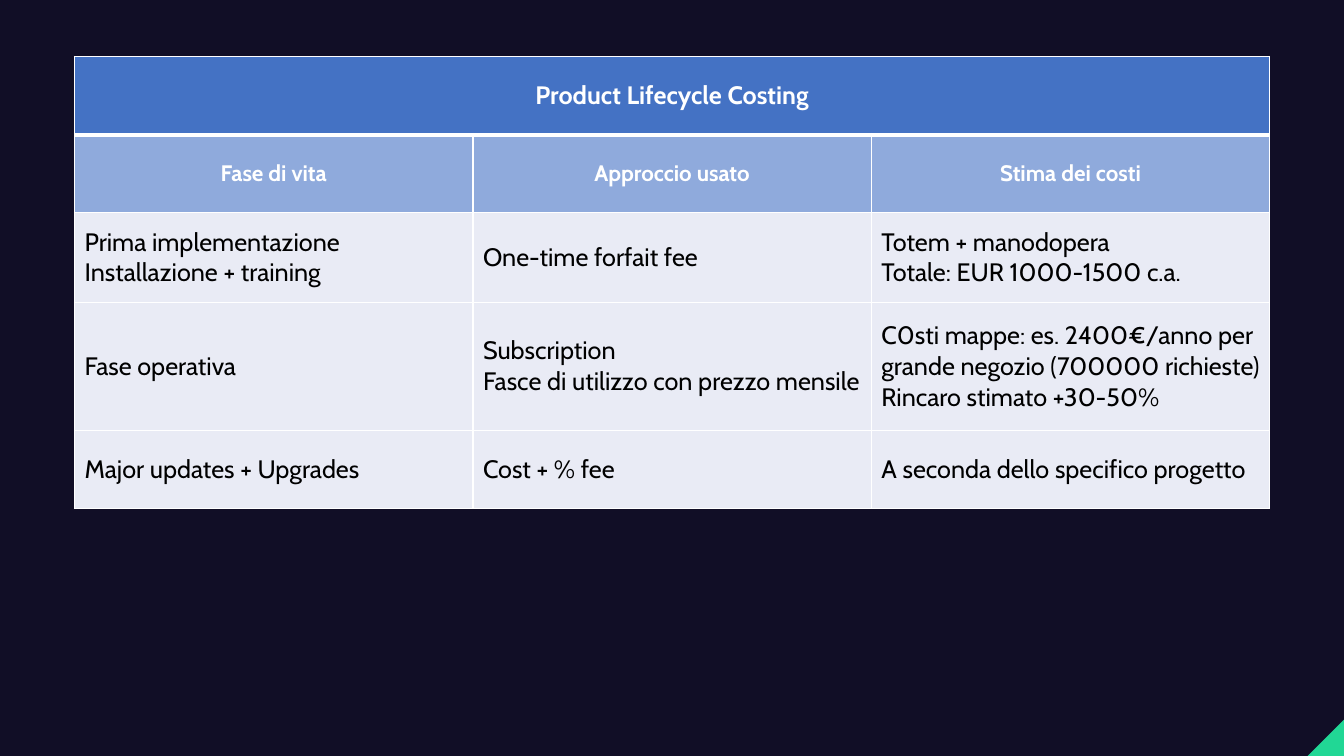
from dataclasses import dataclass

from lxml import etree
from pptx import Presentation
from pptx import table as tb
from pptx.dml.color import RGBColor
from pptx.enum import shapes, text
from pptx.oxml import ns
from pptx.util import Pt

NIGHT = RGBColor(0x11, 0x0E, 0x26)
GREEN = RGBColor(0x21, 0xD7, 0x95)
BLUE = RGBColor(0x44, 0x72, 0xC4)
SKY = RGBColor(0x8F, 0xAA, 0xDC)
PALE = RGBColor(0xE9, 0xEB, 0xF5)
WHITE = RGBColor(0xFF, 0xFF, 0xFF)
BLACK = RGBColor(0x00, 0x00, 0x00)

WIDE, HIGH = 960, 540
FONT = "Cabin"
COL = 284.6
EDGE = 26  # side of the corner triangle


@dataclass
class Style:
    fill: RGBColor
    ink: RGBColor
    size: int
    bold: bool
    align: text.PP_ALIGN
    top: int = 1
    base: int = 1


@dataclass
class Row:
    style: Style
    high: float
    cells: list[str]


MID, LEFT = text.PP_ALIGN.CENTER, text.PP_ALIGN.LEFT
TITLE = Style(BLUE, WHITE, 18, True, MID, base=3)
HEAD = Style(SKY, WHITE, 16, True, MID, top=3)
BODY = Style(PALE, BLACK, 18, False, LEFT)

ROWS = [
    Row(TITLE, 55.8, ["Product Lifecycle Costing"]),
    Row(HEAD, 55.8, ["Fase di vita", "Approccio usato", "Stima dei costi"]),
    Row(BODY, 64, [
        "Prima implementazione\nInstallazione + training",
        "One-time forfait fee",
        "Totem + manodopera\nTotale: EUR 1000-1500 c.a.",
    ]),
    Row(BODY, 91.4, [
        "Fase operativa",
        "Subscription\nFasce di utilizzo con prezzo mensile",
        "C0sti mappe: es. 2400€/anno per grande negozio (700000 richieste)\n"
        "Rincaro stimato +30-50%",
    ]),
    Row(BODY, 55.8, [
        "Major updates + Upgrades",
        "Cost + % fee",
        "A seconda dello specifico progetto",
    ]),
]


def add_rules(cell: tb._Cell, style: Style) -> None:
    """Draw the white lines around a cell."""
    props = cell._tc.get_or_add_tcPr()
    widths = {"lnL": 1, "lnR": 1, "lnT": style.top, "lnB": style.base}
    for tag, width in widths.items():
        line = etree.SubElement(props, ns.qn(f"a:{tag}"), w=str(Pt(width)))
        fill = etree.SubElement(line, ns.qn("a:solidFill"))
        etree.SubElement(fill, ns.qn("a:srgbClr"), val=str(WHITE))


def dress(cell: tb._Cell, style: Style) -> None:
    """Give a cell its lines, fill and text format."""
    add_rules(cell, style)
    cell.fill.solid()
    cell.fill.fore_color.rgb = style.fill
    cell.vertical_anchor = text.MSO_ANCHOR.MIDDLE
    for para in cell.text_frame.paragraphs:
        para.alignment = style.align
        font = para.font
        font.name, font.size, font.bold = FONT, Pt(style.size), style.bold
        font.color.rgb = style.ink


def main() -> None:
    deck = Presentation()
    deck.slide_width, deck.slide_height = Pt(WIDE), Pt(HIGH)
    slide = deck.slides.add_slide(deck.slide_layouts[6])
    slide.background.fill.solid()
    slide.background.fill.fore_color.rgb = NIGHT

    # Green corner
    corner = slide.shapes.add_shape(
        shapes.MSO_SHAPE.RIGHT_TRIANGLE,
        Pt(WIDE - EDGE), Pt(HIGH - EDGE), Pt(EDGE), Pt(EDGE))
    corner.rotation = 270
    corner.shadow.inherit = False
    corner.fill.solid()
    corner.fill.fore_color.rgb = GREEN
    corner.line.fill.background()

    # Cost table
    grid = slide.shapes.add_table(
        len(ROWS), 3, Pt(53.2), Pt(40.4), Pt(3 * COL),
        Pt(sum(row.high for row in ROWS))).table
    for col in grid.columns:
        col.width = Pt(COL)
    grid.cell(0, 0).merge(grid.cell(0, 2))
    for r, row in enumerate(ROWS):
        grid.rows[r].height = Pt(row.high)
        for c, words in enumerate(row.cells):
            grid.cell(r, c).text = words
        for cell in grid.rows[r].cells:
            dress(cell, row.style)

    deck.save("out.pptx")


if __name__ == "__main__":
    main()
